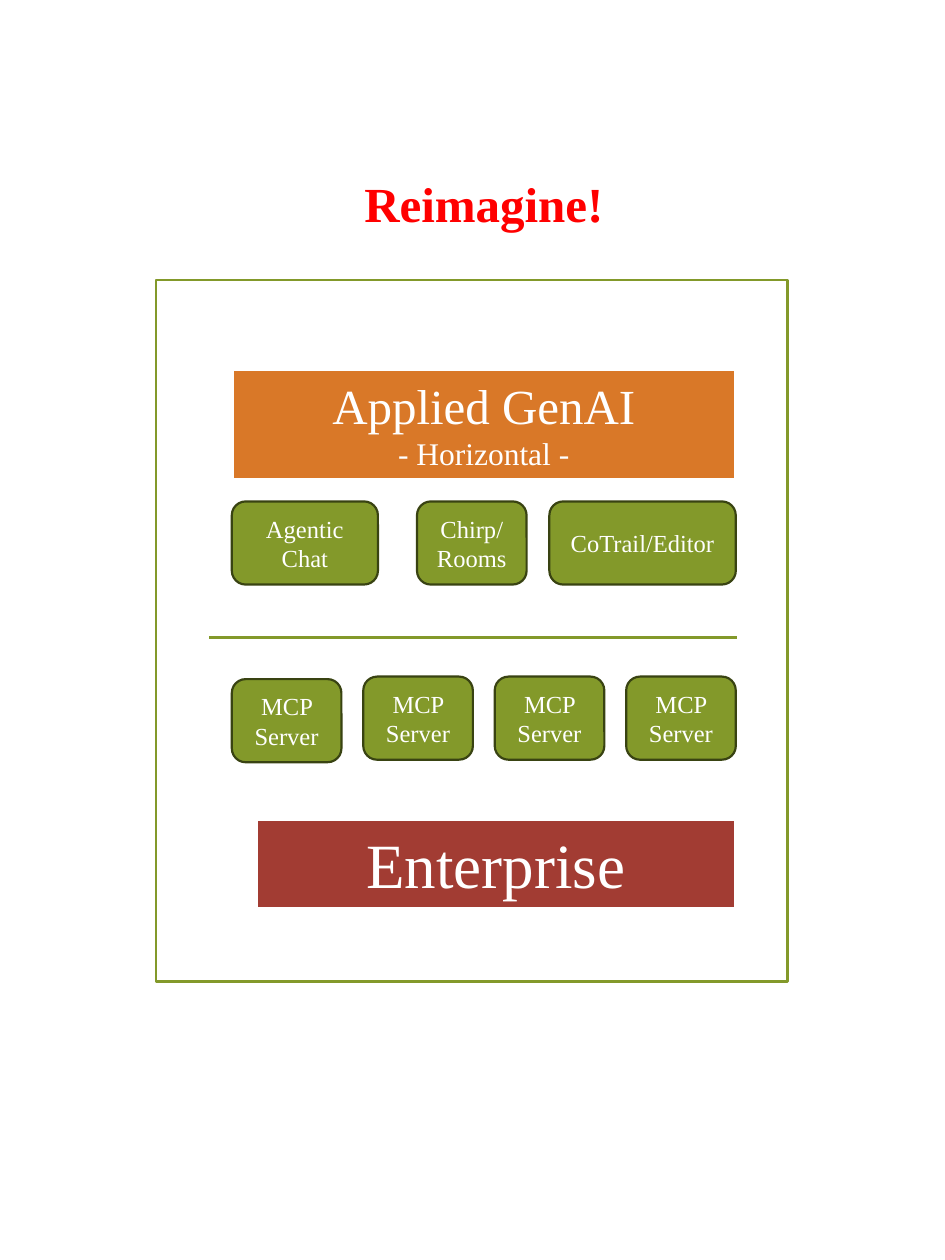
from lxml import etree
from pptx import Presentation
from pptx import util as u
from pptx.dml.color import RGBColor
from pptx.enum import shapes, text
from pptx.oxml import ns

GREEN = RGBColor(0x83, 0x99, 0x2A)
DARK_GREEN = RGBColor(0x39, 0x43, 0x12)
ORANGE = RGBColor(0xD9, 0x78, 0x28)
BRICK = RGBColor(0xA2, 0x3C, 0x33)
RED = RGBColor(0xFF, 0x00, 0x00)
WHITE = RGBColor(0xFF, 0xFF, 0xFF)
FONT = "Times New Roman"

deck = Presentation()
deck.slide_width, deck.slide_height = u.Inches(7.5), u.Inches(10)
page = deck.slides.add_slide(deck.slide_layouts[6])


def add_box(kind, place, fill, line, width):
    box = page.shapes.add_shape(kind, *[u.Inches(value) for value in place])
    box.shadow.inherit = False
    if fill is None:
        box.fill.background()
    else:
        box.fill.solid()
        box.fill.fore_color.rgb = fill
    box.line.color.rgb = line
    box.line.width = u.Pt(width)
    return box


def write(box, lines, color, anchor, bold=False):
    frame = box.text_frame
    frame.word_wrap = True
    frame.vertical_anchor = anchor
    for index, (words, size) in enumerate(lines):
        para = frame.add_paragraph() if index else frame.paragraphs[0]
        para.text = words
        para.alignment = text.PP_ALIGN.CENTER
        para.font.name = FONT
        para.font.size = u.Pt(size)
        para.font.bold = bold
        para.font.color.rgb = color


TOP, MIDDLE = text.MSO_ANCHOR.TOP, text.MSO_ANCHOR.MIDDLE
RECT, ROUNDED = shapes.MSO_SHAPE.RECTANGLE, shapes.MSO_SHAPE.ROUNDED_RECTANGLE

# Frame and divider
add_box(RECT, (1.24, 2.22, 5.01, 5.57), None, GREEN, 1.25)
divider = page.shapes.add_connector(
    shapes.MSO_CONNECTOR.STRAIGHT,
    u.Inches(1.66), u.Inches(5.06), u.Inches(5.85), u.Inches(5.06))
divider.line.color.rgb = GREEN
divider.line.width = u.Pt(1.25)
etree.SubElement(divider._element.spPr, ns.qn("a:effectLst"))

# Banners
banners = [
    ((1.84, 2.93, 4, 0.88), ORANGE, [("Applied GenAI", 28), ("- Horizontal -", 18)]),
    ((2.03, 6.5, 3.81, 0.71), BRICK, [("Enterprise", 36)]),
]
for place, fill, lines in banners:
    write(add_box(RECT, place, fill, WHITE, 2), lines, WHITE, TOP)

# Client tools above the divider, servers below it
tiles = [
    (1.84, 3.98, 1.16, "Agentic Chat"),
    (3.31, 3.98, 0.87, "Chirp/Rooms"),
    (4.36, 3.98, 1.48, "CoTrail/Editor"),
]
for column in range(4):
    top = 5.37 if column else 5.39
    tiles.append((1.84 + column * 3.13 / 3, top, 0.87, "MCP Server"))
for left, top, width, label in tiles:
    tile = add_box(ROUNDED, (left, top, width, 0.66), GREEN, DARK_GREEN, 1.25)
    write(tile, [(label, 14)], WHITE, MIDDLE)

# Title
title = page.shapes.add_textbox(
    u.Inches(1.84), u.Inches(1.33), u.Inches(4), u.Inches(0.57))
write(title, [("Reimagine!", 28)], RED, TOP, bold=True)

deck.save("out.pptx")
